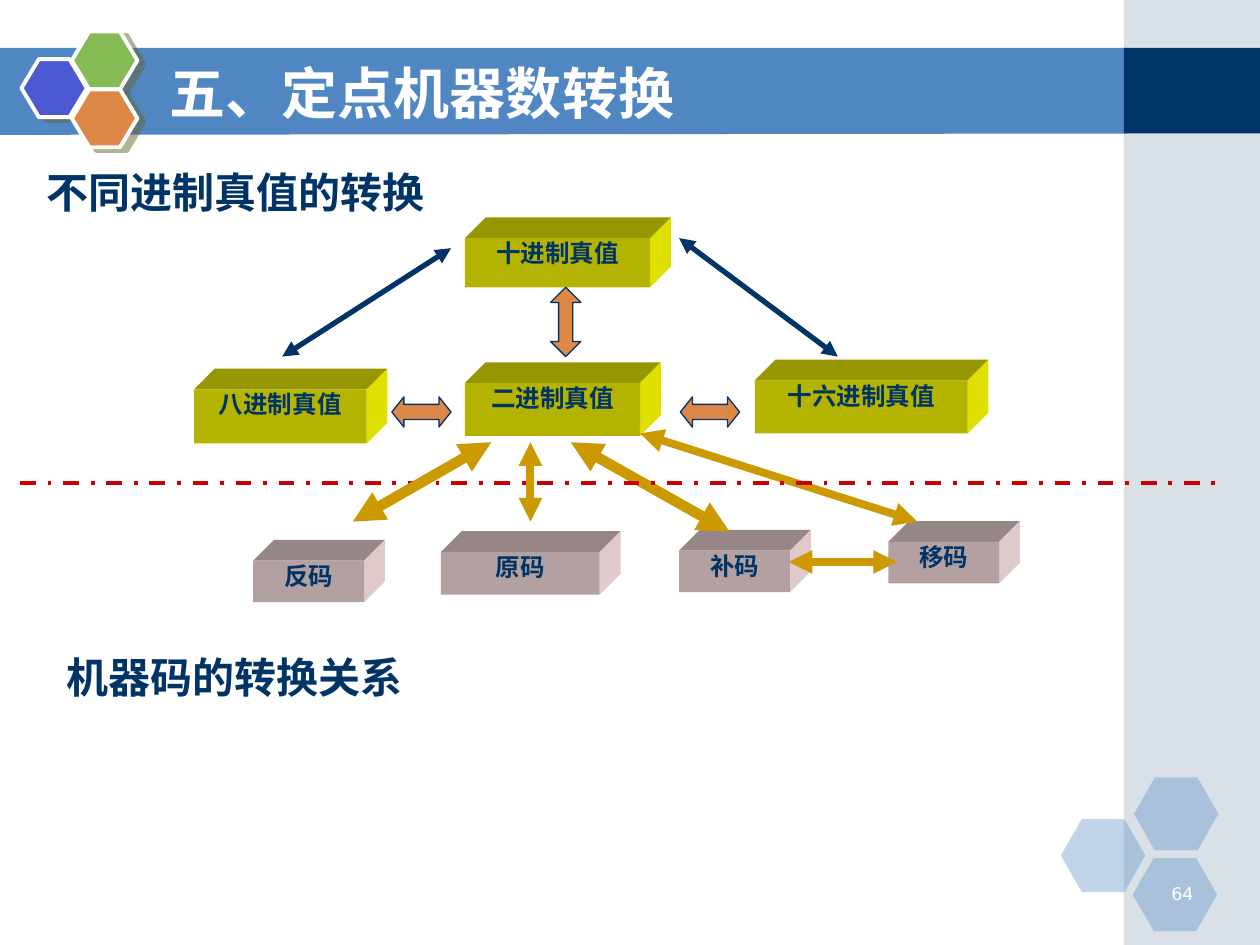
from dataclasses import dataclass

from lxml import etree
from pptx import Presentation
from pptx.dml.color import RGBColor
from pptx.enum.dml import MSO_LINE
from pptx.enum.shapes import MSO_CONNECTOR, MSO_SHAPE
from pptx.enum.text import MSO_ANCHOR, PP_ALIGN
from pptx.oxml.ns import qn
from pptx.util import Inches, Pt

RECT, HEXAGON = MSO_SHAPE.RECTANGLE, MSO_SHAPE.HEXAGON
UP_DOWN, LEFT_RIGHT = MSO_SHAPE.UP_DOWN_ARROW, MSO_SHAPE.LEFT_RIGHT_ARROW
STRAIGHT, DASH_DOT = MSO_CONNECTOR.STRAIGHT, MSO_LINE.DASH_DOT
TOP, MIDDLE = MSO_ANCHOR.TOP, MSO_ANCHOR.MIDDLE
LEFT, CENTER, RIGHT, JUSTIFY = (PP_ALIGN.LEFT, PP_ALIGN.CENTER,
                                PP_ALIGN.RIGHT, PP_ALIGN.JUSTIFY)
COLUMNS, ROWS = 100, 75


@dataclass(frozen=True)
class Theme:
    navy: str = "003366"
    blue: str = "5086C2"
    mist: str = "A0B5C4"
    white: str = "FFFFFF"
    violet: str = "4C59D2"
    green: str = "85BA54"
    orange: str = "DE8848"
    shade: str = "666633"
    gold: str = "CC9900"
    red: str = "CC0000"
    # Block faces: front, top, side
    yellow_block: tuple = ("B3B300", "969600", "E0E000")
    pink_block: tuple = ("B3A1A1", "968686", "E0C9C9")
    title_size: int = 32
    heading_size: int = 24
    label_size: int = 14
    number_size: int = 10
    cjk_font: str = "Noto Sans CJK SC"
    body_font: str = "Times New Roman"
    number_font: str = "DejaVu Sans"


def write(shape, text, *, size, color, font, east_asian, bold=True,
          align=LEFT, anchor=TOP):
    frame = shape.text_frame
    frame.word_wrap = True
    frame.vertical_anchor = anchor
    frame.margin_top = frame.margin_bottom = 0
    paragraph = frame.paragraphs[0]
    paragraph.alignment = align
    run = paragraph.add_run()
    run.text = text
    run.font.size, run.font.bold, run.font.name = Pt(size), bold, font
    run.font.color.rgb = RGBColor.from_string(color)
    etree.SubElement(run.font._element, qn("a:ea"), typeface=east_asian)


class SlideBuilder:
    """Places elements on a grid of 100 columns by 75 rows."""

    def __init__(self, presentation, theme):
        self.theme = theme
        self.slide = presentation.slides.add_slide(presentation.slide_layouts[6])
        self.shapes = self.slide.shapes
        self.column = presentation.slide_width / COLUMNS
        self.row = presentation.slide_height / ROWS

    def grid(self, *lengths):
        units = (self.column, self.row)
        return [round(length * units[i % 2]) for i, length in enumerate(lengths)]

    def paint(self, shape, fill, line=None, width=0.75, alpha=None):
        shape.shadow.inherit = False
        shape.fill.solid()
        shape.fill.fore_color.rgb = RGBColor.from_string(fill)
        if alpha:
            color = shape.fill._xPr.find(".//" + qn("a:srgbClr"))
            etree.SubElement(color, qn("a:alpha"), val=str(alpha * 1000))
        if line:
            shape.line.color.rgb = RGBColor.from_string(line)
            shape.line.width = Pt(width)
        else:
            shape.line.fill.background()
        return shape

    def preset(self, kind, place, fill, adjust=(), **style):
        shape = self.shapes.add_shape(kind, *self.grid(*place))
        for index, value in enumerate(adjust):
            shape.adjustments[index] = value
        return self.paint(shape, fill, **style)

    def polygon(self, points, fill):
        start, *rest = [self.grid(*point) for point in points]
        builder = self.shapes.build_freeform(*start, scale=1.0)
        builder.add_line_segments(rest, close=True)
        return self.paint(builder.convert_to_shape(), fill)

    def badge(self, place, fill):
        shape = self.preset(HEXAGON, place, fill, (0.3,),
                            line=self.theme.white, width=2.25)
        effects = shape._element.spPr.find(qn("a:effectLst"))
        shadow = etree.SubElement(effects, qn("a:outerShdw"), dist=str(Pt(4.5)),
                                  dir=str(27 * 60000), algn="ctr", rotWithShape="0")
        color = etree.SubElement(shadow, qn("a:srgbClr"), val=self.theme.shade)
        etree.SubElement(color, qn("a:alpha"), val="50000")

    def block(self, text, place, faces, depth=1.65):
        left, top, width, height = place
        right, bottom = left + width, top + height
        front, lid, side = faces
        back_right = (right + depth, top - depth)
        self.polygon([(left, top), (left + depth, top - depth),
                      back_right, (right, top)], lid)
        self.polygon([(right, top), back_right,
                      (right + depth, bottom - depth), (right, bottom)], side)
        write(self.preset(RECT, place, front), text, size=self.theme.label_size,
              color=self.theme.navy, font=self.theme.body_font,
              east_asian=self.theme.cjk_font, align=CENTER)

    def line(self, start, end, color, width, arrows=True, dash=None):
        line = self.shapes.add_connector(STRAIGHT, *self.grid(*start, *end))
        line.line.color.rgb = RGBColor.from_string(color)
        line.line.width = Pt(width)
        if dash:
            line.line.dash_style = dash
        if arrows:
            for tip in ("a:headEnd", "a:tailEnd"):
                etree.SubElement(line.line._ln, qn(tip), type="triangle")
        etree.SubElement(line._element.spPr, qn("a:effectLst"))

    def text(self, text, place, **style):
        style = {"color": self.theme.navy, "font": self.theme.body_font,
                 "east_asian": self.theme.cjk_font, **style}
        write(self.shapes.add_textbox(*self.grid(*place)), text, **style)


def main():
    presentation = Presentation()
    presentation.slide_width, presentation.slide_height = Inches(10), Inches(7.5)
    theme = Theme()
    page = SlideBuilder(presentation, theme)

    # Title band and side panel
    page.polygon([(0, 3.8), (89.5, 3.8), (89.5, 10.6), (0, 10.7)], theme.blue)
    page.preset(RECT, (89.2, 0, 10.8, ROWS), theme.mist, alpha=40)
    page.preset(RECT, (89.2, 3.8, 10.8, 6.8), theme.navy)

    # Honeycombs: pale at the foot, bright at the title
    for left, top in ((84.2, 65), (90, 61.7), (89.9, 68.1)):
        page.preset(HEXAGON, (left, top, 6.7, 5.8), theme.blue, (0.286,), alpha=35)
    for left, top, fill in ((1.7, 4.7, theme.violet), (5.7, 2.5, theme.green),
                            (5.7, 7.1, theme.orange)):
        page.badge((left, top, 5.2, 4.6), fill)

    # Page number, title and headings
    page.text("64", (90.7, 69.7, 5, 2.5), size=theme.number_size, bold=False,
              color=theme.white, font=theme.number_font, align=RIGHT, anchor=MIDDLE)
    page.text("五、定点机器数转换", (12.5, 4.2, 73.3, 6.2), size=theme.title_size,
              color=theme.white, font=theme.cjk_font, anchor=MIDDLE)
    for heading, place in (("不同进制真值的转换", (2.7, 13.2, 34.7, 7.8)),
                           ("机器码的转换关系", (4.3, 51.7, 31.5, 7.1))):
        page.text(heading, place, size=theme.heading_size, align=JUSTIFY)

    # True values by base
    for label, place in (("十进制真值", (36.9, 18.9, 14.7, 3.9)),
                         ("二进制真值", (36.9, 30.4, 13.9, 4.2)),
                         ("十六进制真值", (59.9, 30.2, 16.9, 4.2)),
                         ("八进制真值", (15.4, 30.9, 13.7, 4.3))):
        page.block(label, place, theme.yellow_block)

    # Machine codes
    for label, place in (("原码", (35, 43.8, 12.6, 3.4)),
                         ("补码", (53.9, 43.7, 8.8, 3.3)),
                         ("移码", (70.5, 43, 8.8, 3.3)),
                         ("反码", (20.1, 44.5, 8.8, 3.3))):
        page.block(label, place, theme.pink_block)

    # Conversions between bases
    page.preset(UP_DOWN, (43.7, 22.8, 2.4, 5.5), theme.orange, (0.5, 0.466),
                line=theme.navy)
    for left in (31.1, 54):
        page.preset(LEFT_RIGHT, (left, 31.5, 4.7, 2.4), theme.orange, (0.5, 0.4),
                    line=theme.navy)
    for start, end in (((53.9, 18.9), (66.5, 28.3)), ((22.4, 28.3), (35.8, 19.7))):
        page.line(start, end, theme.navy, 3)

    # Conversions to and between machine codes, across the divider
    for start, end, width in (((45.3, 35.1), (57.9, 42.2), 6),
                              ((62.6, 44.6), (71.2, 44.6), 4.5),
                              ((50.8, 34.4), (72.8, 41.4), 4.5)):
        page.line(start, end, theme.gold, width)
    page.line((1.6, 38.3), (96.5, 38.3), theme.red, 2.25, arrows=False, dash=DASH_DOT)
    for start, end, width in (((42.1, 35.1), (42.1, 41.4), 4.5),
                              ((39, 35.1), (28, 41.4), 6)):
        page.line(start, end, theme.gold, width)

    presentation.save("out.pptx")


if __name__ == "__main__":
    main()
